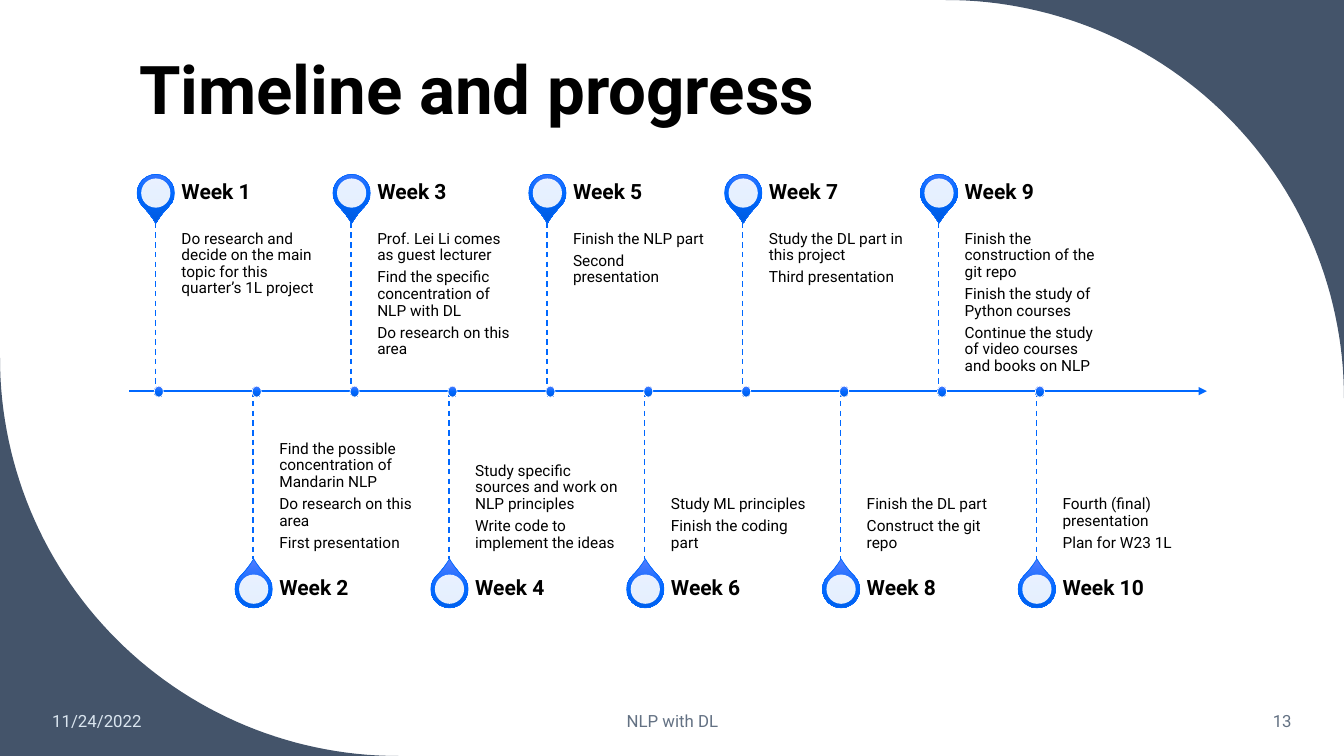
from copy import deepcopy
from dataclasses import dataclass
from math import cos, pi, sin

from lxml.etree import SubElement
from pptx import Presentation
from pptx.dml.color import RGBColor as Rgb
from pptx.enum.dml import MSO_LINE_DASH_STYLE as Dash
from pptx.enum.shapes import MSO_CONNECTOR_TYPE as Link, MSO_SHAPE as Kind
from pptx.enum.text import MSO_ANCHOR as Anchor, MSO_AUTO_SIZE as Fit, PP_ALIGN as Align
from pptx.oxml.ns import qn
from pptx.util import Pt

PX = 9144


@dataclass(frozen=True)
class Theme:
    """Colours and type sizes of the slide."""
    font: str = "Roboto"
    ink: str = "000000"
    paper: str = "FFFFFF"
    slate: str = "44546A"
    blue: str = "0068FF"
    pale: str = "DAE5EF"
    muted: str = "637183"
    shades: tuple = ("4B7BFF", "0068FF", "005CE3")
    title: int = 48
    week: int = 15
    note: int = 11
    footer: int = 12


THEME = Theme()

WEEKS = [
    ["Do research and decide on the main topic for this quarter’s 1L project"],
    ["Find the possible concentration of Mandarin NLP", "Do research on this area",
     "First presentation"],
    ["Prof. Lei Li comes as guest lecturer",
     "Find the specific concentration of NLP with DL", "Do research on this area"],
    ["Study specific sources and work on NLP principles",
     "Write code to implement the ideas"],
    ["Finish the NLP part", "Second presentation"],
    ["Study ML principles", "Finish the coding part"],
    ["Study the DL part in this project", "Third presentation"],
    ["Finish the DL part", "Construct the git repo"],
    ["Finish the construction of the git repo", "Finish the study of Python courses",
     "Continue the study of video courses and books on NLP"],
    ["Fourth (final) presentation", "Plan for W23 1L"],
]


def emu(*lengths):
    """Turn px lengths into EMU."""
    return [round(length * PX) for length in lengths]


def write(frame, lines, size, color=THEME.ink, bold=False, align=Align.LEFT,
          anchor=Anchor.MIDDLE, insets=(10, 5, 10, 5), spacing=0.9, gap=0):
    """Fill a text frame with one paragraph per line."""
    frame.word_wrap = True
    frame.auto_size = Fit.NONE
    frame.vertical_anchor = anchor
    (frame.margin_left, frame.margin_top,
     frame.margin_right, frame.margin_bottom) = emu(*insets)
    for order, line in enumerate(lines):
        paragraph = frame.add_paragraph() if order else frame.paragraphs[0]
        paragraph.alignment = align
        paragraph.line_spacing = spacing
        paragraph.space_before = Pt(0)
        paragraph.space_after = Pt(gap)
        run = paragraph.add_run()
        run.text = line
        run.font.name = THEME.font
        run.font.size = Pt(size)
        run.font.bold = bold
        run.font.color.rgb = Rgb.from_string(color)


def add_text(shapes, box, lines, size, **style):
    """Add a text box at the given box."""
    write(shapes.add_textbox(*emu(*box)).text_frame, lines, size, **style)


def add_line(shapes, start, end, width):
    """Add a blue connector without a shadow."""
    connector = shapes.add_connector(Link.STRAIGHT, *emu(*start, *end))
    connector.line.color.rgb = Rgb.from_string(THEME.blue)
    connector.line.width = Pt(width)
    SubElement(connector._element.spPr, qn("a:effectLst"))
    return connector


def add_shaded(shapes, kind, box, outline):
    """Add a shape with the three-step blue gradient."""
    shape = shapes.add_shape(kind, *emu(*box))
    shape.shadow.inherit = False
    shape.line.color.rgb = Rgb.from_string(outline)
    shape.line.width = Pt(0.5)
    shape.fill.gradient()
    shape.fill.gradient_angle = 270
    gradient = shape._element.spPr.find(qn("a:gradFill"))
    gradient.set("rotWithShape", "0")
    stops = gradient.find(qn("a:gsLst"))
    stops.append(deepcopy(stops[-1]))
    for stop, position, shade in zip(shape.fill.gradient_stops, (0, 0.5, 1), THEME.shades):
        stop.position = position
        stop.color.rgb = Rgb.from_string(shade)
    return shape


def add_corner(shapes, box, turn):
    """Fill a square corner outside a quarter circle starting at the given turn."""
    left, top, side = box
    upper = turn < 0
    center_x, center_y = (left, top + side) if upper else (left + side, top)
    steps = 60
    arc = []
    for step in range(steps + 1):
        angle = turn + pi / 2 * step / steps
        arc.append(emu(center_x + side * cos(angle), center_y + side * sin(angle)))
    corner = emu(left + side, top) if upper else emu(left, top + side)
    outline = shapes.build_freeform(*arc[0])
    outline.add_line_segments([*arc[1:], corner], close=True)
    shape = outline.convert_to_shape()
    shape.shadow.inherit = False
    shape.fill.solid()
    shape.fill.fore_color.rgb = Rgb.from_string(THEME.slate)
    shape.line.fill.background()


def add_title(slide, box):
    """Place the slide title."""
    title = slide.shapes.title
    title.left, title.top, title.width, title.height = emu(*box)
    write(title.text_frame, ["Timeline and progress"], THEME.title, bold=True,
          anchor=Anchor.BOTTOM)


def add_footer(shapes, box):
    """Place date, deck name and page number along the footer."""
    left, top, width, height = box
    parts = [("11/24/2022", 0, 186, Align.LEFT, THEME.pale),
             ("NLP with DL", 400, 450, Align.CENTER, THEME.muted),
             ("13", width - 181, 181, Align.RIGHT, THEME.muted)]
    for words, offset, span, align, color in parts:
        add_text(shapes, (left + offset, top, span, height), [words], THEME.footer,
                 color=color, align=align, spacing=1.0, gap=6)


def add_week(shapes, box, name, notes, above):
    """Place a week's pin, notes, stem and dot above or below the axis."""
    left, top, width, height = box
    head = 59
    heading = top if above else top + height - head
    notes_top = top + head if above else top
    axis = top + height if above else top
    pin = add_shaded(shapes, Kind.TEAR, (left, heading + 11, 37, 37), THEME.blue)
    pin.rotation = 135 if above else 315
    pin.adjustments[0] = 1.15
    disc = shapes.add_shape(Kind.OVAL, *emu(left + 4, heading + 15, 29, 29))
    disc.shadow.inherit = False
    disc.line.fill.background()
    disc.fill.solid()
    disc.fill.fore_color.rgb = Rgb.from_string(THEME.paper)
    tint = disc._element.spPr.find(qn("a:solidFill"))[0]
    SubElement(tint, qn("a:alpha"), val="90000")
    text_left, text_width = left + 44, width - 44
    add_text(shapes, (text_left, notes_top, text_width, height - head), notes, THEME.note,
             anchor=Anchor.TOP if above else Anchor.BOTTOM,
             insets=(0, 8, 8, 11) if above else (0, 11, 0, 8), gap=3.85)
    add_text(shapes, (text_left, heading, text_width, head), [name], THEME.week,
             bold=True, insets=(0, 0, 10, 0), gap=5.25)
    stem = add_line(shapes, (left + 18, notes_top),
                    (left + 18, notes_top + height - head), 1)
    stem.line.dash_style = Dash.DASH
    add_shaded(shapes, Kind.OVAL, (left + 17, axis - 5, 9, 11), THEME.paper)


def add_timeline(shapes, box):
    """Place the axis and alternate the weeks above and below it."""
    left, top, width, height = box
    half = height // 2
    axis = top + half
    arrow = add_line(shapes, (left, axis), (left + width, axis), 1.5)
    SubElement(arrow.line._get_or_add_ln(), qn("a:tailEnd"), type="triangle")
    for order, notes in enumerate(WEEKS):
        above = order % 2 == 0
        week_box = (left + 8 + 97.1 * order, top if above else axis, 187, half)
        add_week(shapes.add_group_shape().shapes, week_box, f"Week {order + 1}", notes, above)


def main():
    """Build and save the timeline slide."""
    deck = Presentation()
    deck.slide_width, deck.slide_height = emu(1333, 750)
    slide = deck.slides.add_slide(deck.slide_layouts[5])
    add_corner(slide.shapes, (938, 0, 395), -pi / 2)
    add_corner(slide.shapes, (0, 355, 395), pi / 2)
    add_title(slide, (128, -12, 1069, 145))
    add_footer(slide.shapes, (42, 695, 1249, 40))
    add_timeline(slide.shapes, (128, 162, 1069, 453))
    deck.save("out.pptx")


if __name__ == "__main__":
    main()
